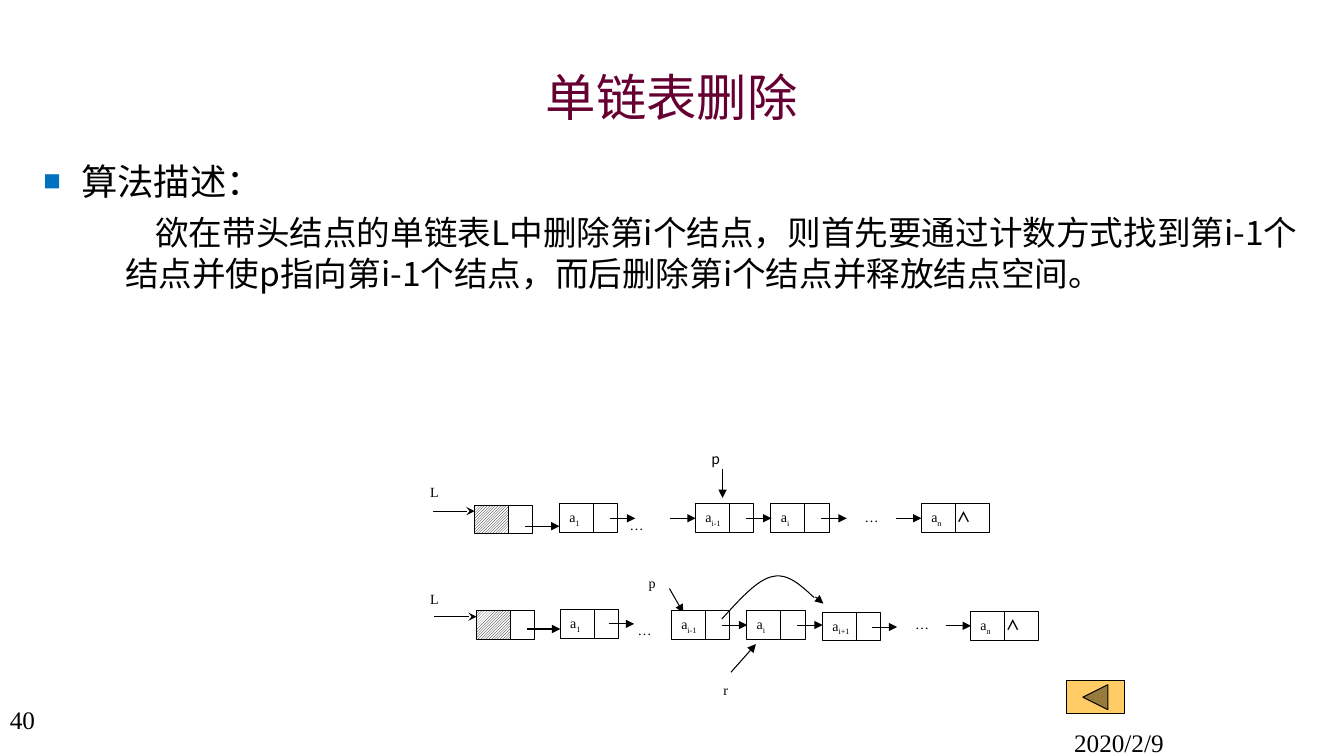
import lxml.etree
import pptx
import pptx.dml.color
import pptx.enum.dml
import pptx.enum.shapes
import pptx.enum.text
import pptx.oxml.ns
import pptx.util

Cm = pptx.util.Cm
Pt = pptx.util.Pt
qn = pptx.oxml.ns.qn
SHAPE = pptx.enum.shapes.MSO_SHAPE

BLACK = pptx.dml.color.RGBColor(0, 0, 0)
WHITE = pptx.dml.color.RGBColor(255, 255, 255)
PLUM = pptx.dml.color.RGBColor(0x66, 0, 0x33)
AMBER = pptx.dml.color.RGBColor(0xFF, 0xCC, 0x66)
BULLET_BLUE = "0070C0"

SANS = "Noto Sans CJK SC"
SERIF = "Times New Roman"

NODE_WIDTH, NODE_HEIGHT, DATA_WIDTH = 1.47, 0.72, 0.85
LAST_WIDTH = 1.72
STEP = 0.64  # length of a short pointer arrow


def add_child(parent, tag, **attributes):
    return lxml.etree.SubElement(parent, qn(tag), attributes)


def set_font(font, name, size, color=BLACK):
    font.size = Pt(size)
    font.color.rgb = color
    font.name = name
    add_child(font._element, "a:ea", typeface=name)


def place(shape, left, top, width, height):
    shape.left, shape.top = Cm(left), Cm(top)
    shape.width, shape.height = Cm(width), Cm(height)


def add_label(shapes, text, left, top, width=1.27, height=0.74, font=SERIF, size=10):
    box = shapes.add_textbox(Cm(left), Cm(top), Cm(width), Cm(height))
    box.text_frame.word_wrap = True
    para = box.text_frame.paragraphs[0]
    para.text = text
    set_font(para.font, font, size)


def add_box(shapes, left, top, width, height=NODE_HEIGHT, color=WHITE, kind=SHAPE.RECTANGLE):
    box = shapes.add_shape(kind, Cm(left), Cm(top), Cm(width), Cm(height))
    box.shadow.inherit = False
    box.fill.solid()
    box.fill.fore_color.rgb = color
    box.line.color.rgb = BLACK
    box.line.width = Pt(0.75)
    return box


def add_line(shapes, x1, y1, x2, y2, head=None):
    line = shapes.add_connector(
        pptx.enum.shapes.MSO_CONNECTOR.STRAIGHT, Cm(x1), Cm(y1), Cm(x2), Cm(y2))
    line.line.color.rgb = BLACK
    line.line.width = Pt(0.75)
    if head:
        add_child(line.line._get_or_add_ln(), "a:tailEnd", type=head)
    add_child(line._element.spPr, "a:effectLst")


def add_pointer(shapes, left, y, length=STEP, head="triangle"):
    add_line(shapes, left, y, left + length, y, head)


def add_head_node(shapes, left, top):
    data = add_box(shapes, left, top, DATA_WIDTH)
    data.fill.patterned()
    data.fill.pattern = pptx.enum.dml.MSO_PATTERN.LIGHT_UPWARD_DIAGONAL
    data.fill.fore_color.rgb = BLACK
    data.fill.back_color.rgb = WHITE
    add_box(shapes, left + DATA_WIDTH, top, NODE_WIDTH - DATA_WIDTH)


def add_node(shapes, left, top, index, last=False):
    box = add_box(shapes, left, top, LAST_WIDTH if last else NODE_WIDTH)
    box.text_frame.vertical_anchor = pptx.enum.text.MSO_ANCHOR.TOP
    para = box.text_frame.paragraphs[0]
    para.alignment = pptx.enum.text.PP_ALIGN.LEFT
    if last:
        tabs = add_child(para._p.get_or_add_pPr(), "a:tabLst")
        add_child(tabs, "a:tab", pos=str(Cm(0.64)), algn="l")
    for text, offset in (("a", "0"), (index, "-25000")):
        span = para.add_run()
        span.text = text
        set_font(span.font, SERIF, 10)
        span.font._element.set("baseline", offset)
    if last:
        span = para.add_run()
        span.text = "\t∧"
        set_font(span.font, SANS, 10)
        span.font.bold = True
    split = left + DATA_WIDTH
    add_line(shapes, split, top, split, top + NODE_HEIGHT)


def bezier(points, steps=12):
    for step in range(1, steps + 1):
        t = step / steps
        weights = ((1 - t) ** 3, 3 * t * (1 - t) ** 2, 3 * t * t * (1 - t), t ** 3)
        yield tuple(Cm(sum(w * p[axis] for w, p in zip(weights, points)))
                    for axis in (0, 1))


def add_bypass(shapes):
    start, crest, end = (18.19, 15.6), (19.46, 14.53), (20.52, 15.06)
    rise = (start, (18.64, 15.11), (19.08, 14.61), crest)
    fall = (crest, (19.86, 14.43), (20.19, 14.76), end)
    builder = shapes.build_freeform(Cm(start[0]), Cm(start[1]))
    builder.add_line_segments([*bezier(rise), *bezier(fall)], close=False)
    curve = builder.convert_to_shape()
    curve.shadow.inherit = False
    curve.fill.background()
    curve.line.color.rgb = BLACK
    curve.line.width = Pt(0.75)
    add_line(shapes, 20.55, 15.04, 20.75, 15.21, "triangle")


def draw_list_before(shapes):
    add_label(shapes, "L", 10.59, 12.07, 0.97)
    add_pointer(shapes, 10.92, 12.88, 1.04, "stealth")
    add_head_node(shapes, 11.96, 12.73)
    for left, index in ((14.1, "1"), (17.53, "i-1"), (19.43, "i")):
        add_node(shapes, left, 12.7, index)
    add_node(shapes, 23.22, 12.7, "n", last=True)
    add_label(shapes, "…", 15.62, 12.88)
    add_label(shapes, "…", 21.54, 12.7)
    add_pointer(shapes, 13.23, 13.26, 0.87)
    for left in (15.37, 16.89, 18.8, 20.7, 22.58):
        add_pointer(shapes, left, 13.06)
    add_label(shapes, "p", 17.68, 11.23, 0.84, font=SANS)
    add_line(shapes, 18.21, 11.81, 18.21, 12.55, "triangle")


def draw_list_after(shapes):
    add_label(shapes, "p", 16.1, 14.35, 0.97)
    add_line(shapes, 16.87, 14.83, 17.22, 15.44, "triangle")
    add_label(shapes, "L", 10.59, 14.76, 0.71)
    add_pointer(shapes, 10.95, 15.54, 1.06, "stealth")
    add_head_node(shapes, 12.01, 15.39)
    for left, top, index in ((14.12, 15.37, "1"), (16.92, 15.39, "i-1"),
                             (18.82, 15.39, "i"), (20.73, 15.43, "i+1")):
        add_node(shapes, left, top, index)
    add_node(shapes, 24.46, 15.42, "n", last=True)
    add_label(shapes, "…", 15.82, 15.54)
    add_label(shapes, "…", 22.81, 15.39)
    add_pointer(shapes, 13.28, 15.85, 0.84)
    for left, y in ((15.34, 15.72), (18.19, 15.75), (20.09, 15.75),
                    (21.97, 15.8), (23.83, 15.77)):
        add_pointer(shapes, left, y)
    add_bypass(shapes)
    add_label(shapes, "r", 17.98, 17.04, 0.76)
    add_line(shapes, 18.42, 16.94, 19.05, 16.23, "triangle")


def fill_title(title):
    place(title, 2.54, 1.47, 28.78, 1.9)
    para = title.text_frame.paragraphs[0]
    para.text = "单链表删除"
    set_font(para.font, SANS, 36, PLUM)


def fill_body(body):
    place(body, 0.84, 3.81, 32.18, 14.4)
    frame = body.text_frame
    frame.auto_size = pptx.enum.text.MSO_AUTO_SIZE.NONE

    # Bulleted heading
    para = frame.paragraphs[0]
    para.text = "算法描述："
    para.line_spacing, para.space_before = Pt(33), Pt(0)
    props = para._p.get_or_add_pPr()
    props.set("marL", str(Cm(0.95)))
    props.set("indent", str(Cm(-0.95)))
    add_child(add_child(props, "a:buClr"), "a:srgbClr", val=BULLET_BLUE)
    add_child(props, "a:buSzPct", val="80000")
    add_child(props, "a:buChar", char="■")
    set_font(para.font, SANS, 26)

    # Description with an indented first line
    para = frame.add_paragraph()
    para.text = ("欲在带头结点的单链表L中删除第i个结点，则首先要通过计数方式找到第i-1个结点"
                 "并使p指向第i-1个结点，而后删除第i个结点并释放结点空间。")
    para.level = 1
    para.line_spacing, para.space_before = Pt(29.3), Pt(6)
    props = para._p.get_or_add_pPr()
    props.set("marL", str(Cm(2.06)))
    props.set("indent", str(Cm(0.76)))
    add_child(props, "a:buNone")
    set_font(para.font, SANS, 24)


def main():
    deck = pptx.Presentation()
    deck.slide_width, deck.slide_height = Cm(33.87), Cm(19.05)
    page = deck.slides.add_slide(deck.slide_layouts[1])

    # Title and text
    fill_title(page.shapes.title)
    fill_body(page.placeholders[1])

    # Footer and back button
    add_label(page.shapes, "2020/2/9", 26.82, 18.21, 7.05, 0.84, size=18)
    add_label(page.shapes, "40", 0, 17.63, 2.18, 1.35, size=18)
    add_box(page.shapes, 26.87, 17.15, 1.47, 0.84, AMBER,
            SHAPE.ACTION_BUTTON_BACK_OR_PREVIOUS)

    # Linked list before and after the deletion
    draw_list_before(page.shapes.add_group_shape().shapes)
    draw_list_after(page.shapes.add_group_shape().shapes)

    deck.save("out.pptx")


if __name__ == "__main__":
    main()
